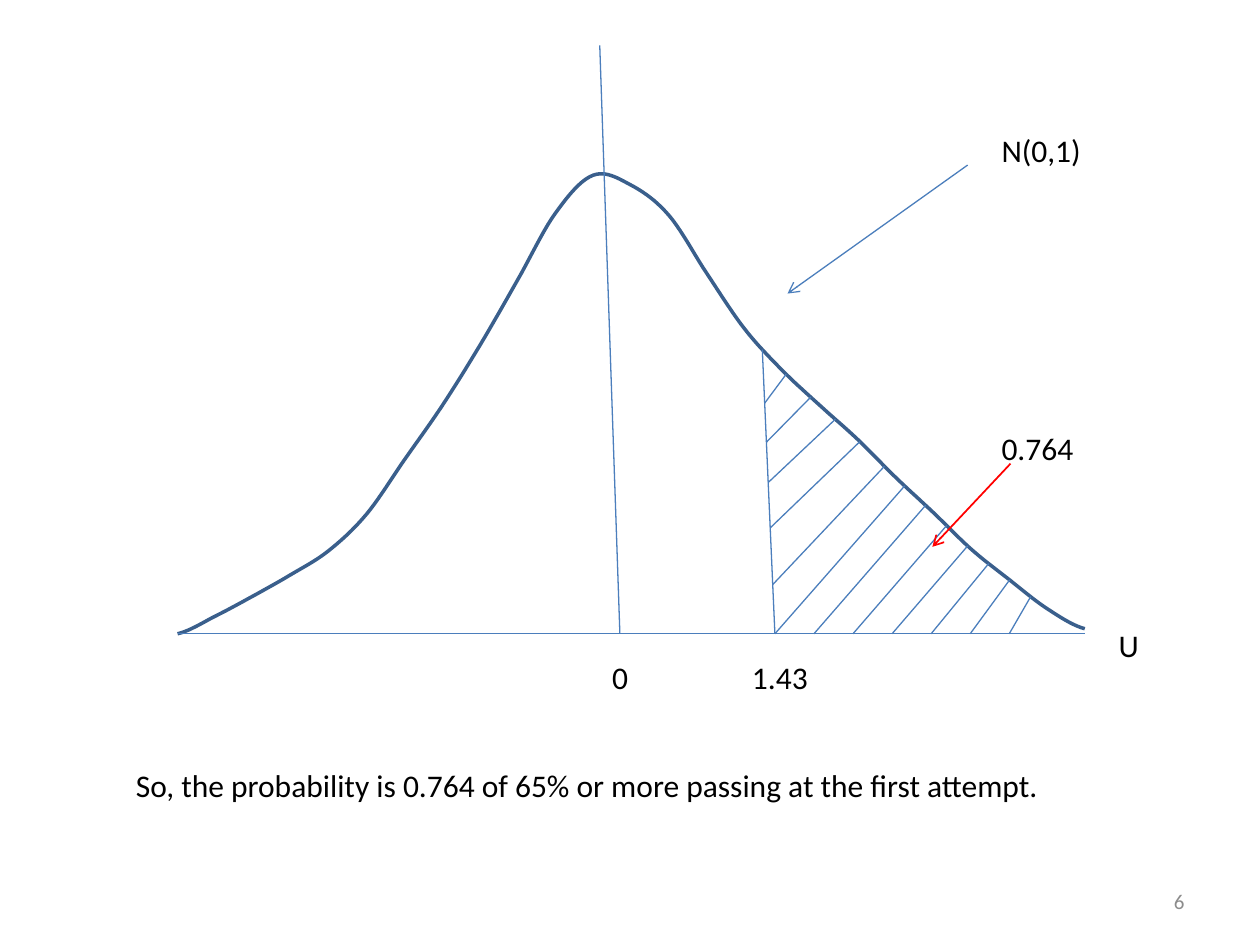
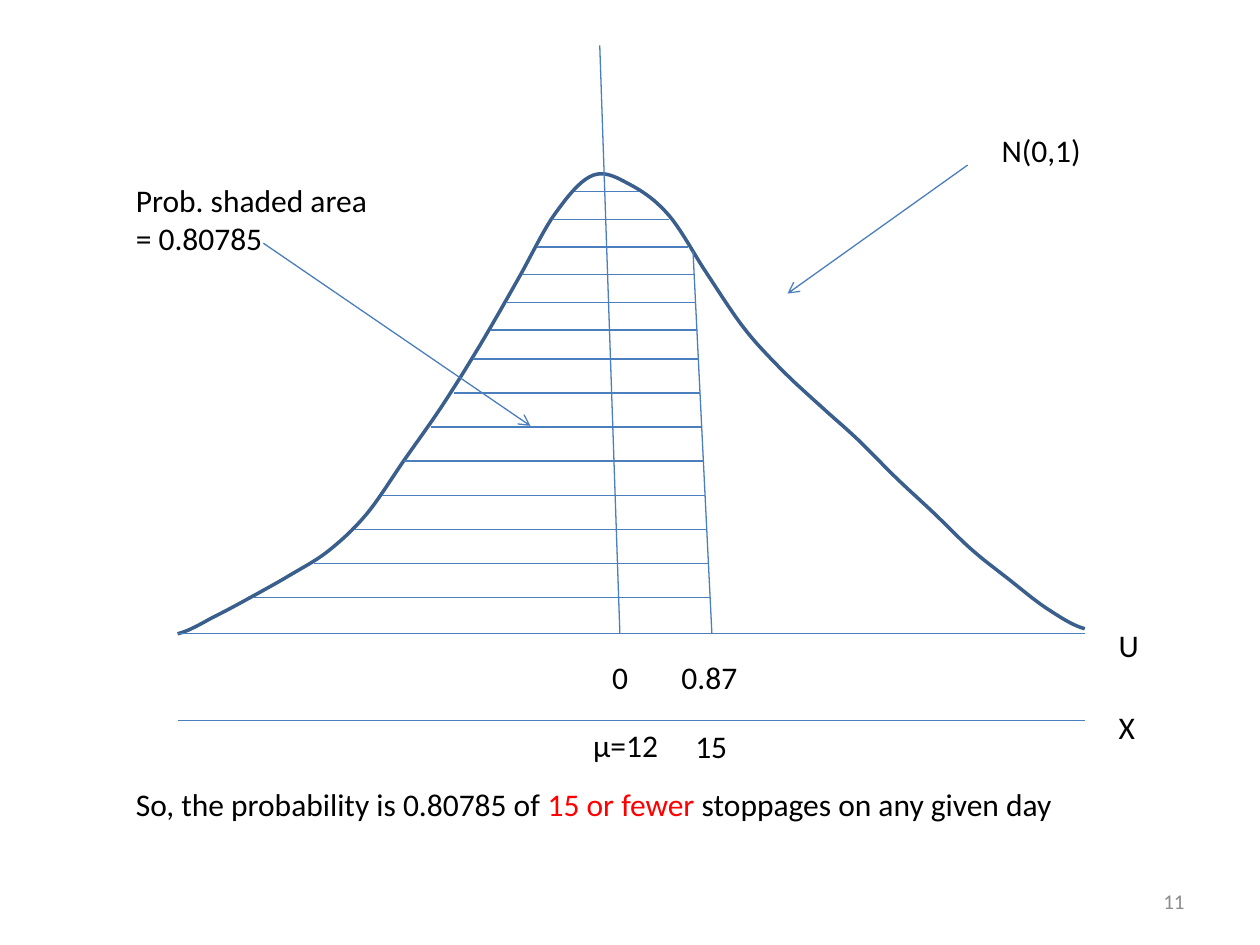
import pptx
import pptx.util
import pptx.dml.color
import pptx.enum.shapes
import pptx.enum.text
import pptx.oxml

Inches = pptx.util.Inches
Pt = pptx.util.Pt
Color = pptx.dml.color.RGBColor

BLUE = Color(0x4B, 0x7E, 0xBC)
NAVY = Color(0x3A, 0x5F, 0x8C)
RED = Color(0xFF, 0x00, 0x00)
BLACK = Color(0x00, 0x00, 0x00)
GRAY = Color(0x8C, 0x8C, 0x8C)
FONT = "Calibri"
SPACE = "http://schemas.openxmlformats.org/drawingml/2006/main"

PLOT = (1, 1)
NOTE = (0.98, 6.03)
FOOT = (7.17, 6.95)

LEFT, RIGHT, BASE = 0.41, 7.61, 4.03
NAMES = RIGHT + 0.17
TICKS = BASE + 0.14
STEP = 0.3
HEIGHTS = [0, 0.14, 0.3, 0.47, 0.66, 0.95, 1.38, 1.81, 2.29, 2.81, 3.34, 3.64,
           3.56, 3.32, 2.86, 2.42, 2.09, 1.81, 1.54, 1.24, 0.96, 0.67, 0.43,
           0.2, 0.04]
FINE = 10


def spread(start, gap, count):
    """List equally spaced values."""
    return [start + gap * i for i in range(count)]


def curve(x):
    """Give the curve's y at x by a smooth spline through HEIGHTS."""
    last = len(HEIGHTS) - 1
    i = max(0, min(int((x - LEFT) / STEP), last - 1))
    t = (x - LEFT) / STEP - i
    a, b, c, d = [HEIGHTS[max(0, min(k, last))] for k in range(i - 1, i + 3)]
    bend = (2 * a - 5 * b + 4 * c - d) * t ** 2 + (3 * b - a - 3 * c + d) * t ** 3
    return BASE - (b + (c - a) * t / 2 + bend / 2)


SAMPLES = spread(LEFT, STEP / FINE, (len(HEIGHTS) - 1) * FINE + 1)


def sides(y):
    """Give the left and right x of the curve at height y."""
    inside = [x for x in SAMPLES if curve(x) <= y]
    return inside[0], inside[-1]


def along(top, foot, y):
    """Give the x at height y on a cut from the curve to the base."""
    peak = curve(top)
    return top + (foot - top) * (y - peak) / (BASE - peak)


def place(box, spot):
    """Turn a spot inside a box into slide lengths."""
    return [Inches(edge + step) for edge, step in zip(box, spot)]


def rule(slide, box, start, end, color=BLUE, width=0.75, arrow=False):
    """Draw a straight line, with an open arrowhead if asked."""
    kind = pptx.enum.shapes.MSO_CONNECTOR.STRAIGHT
    line = slide.shapes.add_connector(kind, *place(box, start), *place(box, end))
    line.line.color.rgb = color
    line.line.width = Pt(width)
    props = line._element.spPr
    if arrow:
        tail = pptx.oxml.parse_xml(f'<a:tailEnd xmlns:a="{SPACE}" type="arrow"/>')
        props.find(f"{{{SPACE}}}ln").append(tail)
    props.append(pptx.oxml.parse_xml(f'<a:effectLst xmlns:a="{SPACE}"/>'))


def label(slide, box, spot, runs, wide, tall=0.4, size=18, color=BLACK,
          wrap=True):
    """Write a text of one or more (words, colour) runs."""
    shape = slide.shapes.add_textbox(*place(box, spot), Inches(wide), Inches(tall))
    shape.text_frame.word_wrap = wrap
    para = shape.text_frame.paragraphs[0]
    para.font.name = FONT
    para.font.size = Pt(size)
    if isinstance(runs, str):
        runs = [(runs, color)]
    for words, shade in runs:
        run = para.add_run()
        run.text = words
        run.font.color.rgb = shade
    return shape


def axis(slide, box, y, name, drop):
    """Draw a level axis with its name at the right."""
    rule(slide, box, (LEFT, y), (RIGHT, y))
    label(slide, box, (NAMES, y + drop), name, 0.63)


def bell(slide, box):
    """Draw the normal curve with its axes and shared labels."""
    first, *rest = [place(box, (x, curve(x))) for x in SAMPLES]
    form = slide.shapes.build_freeform(*first)
    form.add_line_segments(rest, close=False)
    shape = form.convert_to_shape()
    shape.shadow.inherit = False
    shape.fill.background()
    shape.line.color.rgb = NAVY
    shape.line.width = Pt(2)
    axis(slide, box, BASE, "U", -0.11)
    rule(slide, box, (3.76, -0.64), (3.92, BASE))
    label(slide, box, (3.76, TICKS), "0", 0.33, wrap=False)
    rule(slide, box, (6.68, 0.31), (5.25, 1.33), arrow=True)
    label(slide, box, (6.85, -0.01), "N(0,1)", 1.32)


def cut(slide, box, top, foot):
    """Draw the line from the curve to the base that bounds the shading."""
    rule(slide, box, (top, curve(top)), (foot, BASE))


def slant(slide, box, top, foot):
    """Shade right of a cut with slanted lines that end on the curve."""
    depths = [2.2, 2.51, 2.83, 3.19, 3.64]
    feet = [(along(top, foot, y), y) for y in depths]
    feet += [(x, BASE) for x in spread(foot, 0.31, 7)]
    tops = spread(5.24, 0.195, 5) + spread(6.18, 1 / 6, 7)
    for start, x in zip(feet, tops):
        rule(slide, box, start, (x, curve(x)))


def level(slide, box, top, foot):
    """Shade left of a cut with level lines that start on the curve."""
    for y in spread(0.52, 0.22, 6) + spread(1.85, 0.27, 8):
        near, far = sides(y)
        rule(slide, box, (near, y), (min(far, along(top, foot, y)), y))


def footer(slide, box, number):
    """Write the slide number at the lower right."""
    shape = label(slide, box, (0, 0), number, 2.33, size=12, color=GRAY)
    shape.text_frame.vertical_anchor = pptx.enum.text.MSO_ANCHOR.MIDDLE
    shape.text_frame.paragraphs[0].alignment = pptx.enum.text.PP_ALIGN.RIGHT


def start(deck, number):
    """Add a slide with the parts that all slides share."""
    slide = deck.slides.add_slide(deck.slide_layouts[6])
    footer(slide, FOOT, number)
    bell(slide, PLOT)
    return slide


def upper(deck):
    """Build the slide that shades the upper tail."""
    slide = start(deck, "6")
    edge = (5.05, 5.15)
    cut(slide, PLOT, *edge)
    slant(slide, PLOT, *edge)
    label(slide, PLOT, (4.87, TICKS), "1.43", 0.74)
    label(slide, PLOT, (6.85, 2.36), "0.764", 1.32)
    rule(slide, PLOT, (7.02, 2.68), (6.4, 3.34), RED, 1, arrow=True)
    label(slide, NOTE, (0, 0), "So, the probability is 0.764 of 65% or more "
          "passing at the first attempt.", 7.62)


def lower(deck):
    """Build the slide that shades the area below a value."""
    slide = start(deck, "11")
    edge = (4.5, 4.65)
    cut(slide, PLOT, *edge)
    level(slide, PLOT, *edge)
    label(slide, PLOT, (4.31, TICKS), "0.87", 0.75)
    label(slide, PLOT, (-0.02, 0.39), "Prob. shaded area = 0.80785", 2.16, 0.71)
    rule(slide, PLOT, (1.09, 0.93), (3.21, 2.38), arrow=True)
    axis(slide, PLOT, 4.72, "X", -0.15)
    label(slide, PLOT, (3.61, 4.71), "μ=12", 0.73, wrap=False)
    label(slide, PLOT, (4.42, 4.72), "15", 0.6)
    label(slide, NOTE, (0, 0.15), [
        ("So, the probability is 0.80785 of ", BLACK),
        ("15 or fewer ", RED),
        ("stoppages on any given day", BLACK)], 7.62)


def main():
    """Build and save the deck."""
    deck = pptx.Presentation()
    deck.slide_width = Inches(10)
    deck.slide_height = Inches(7.5)
    upper(deck)
    lower(deck)
    deck.save("out.pptx")


if __name__ == "__main__":
    main()
